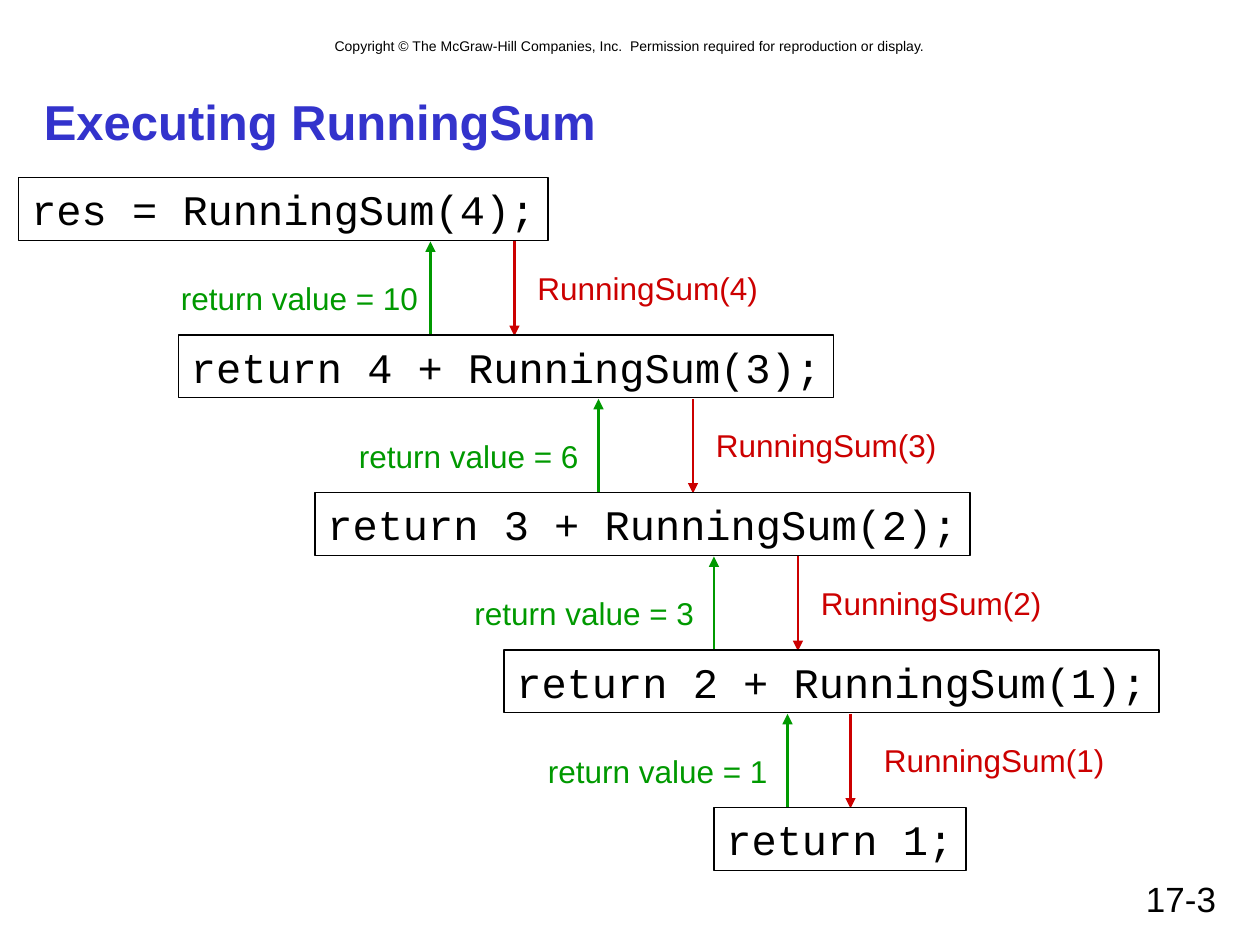
from dataclasses import dataclass

from lxml import etree
from pptx import Presentation
from pptx.dml.color import RGBColor
from pptx.enum.shapes import MSO_CONNECTOR, MSO_SHAPE
from pptx.enum.text import MSO_ANCHOR, PP_ALIGN
from pptx.oxml.ns import qn
from pptx.util import Pt

LEFT, CENTER, RIGHT = PP_ALIGN.LEFT, PP_ALIGN.CENTER, PP_ALIGN.RIGHT
TOP, MIDDLE = MSO_ANCHOR.TOP, MSO_ANCHOR.MIDDLE
RECTANGLE, STRAIGHT = MSO_SHAPE.RECTANGLE, MSO_CONNECTOR.STRAIGHT

EMU_PER_PX = 7620  # 120 px to the inch
SLIDE_W, SLIDE_H = 1200, 900


@dataclass(frozen=True)
class Theme:
    ink: RGBColor = RGBColor(0x00, 0x00, 0x00)
    paper: RGBColor = RGBColor(0xFF, 0xFF, 0xFF)
    heading: RGBColor = RGBColor(0x33, 0x33, 0xCC)
    call: RGBColor = RGBColor(0xCC, 0x00, 0x00)
    result: RGBColor = RGBColor(0x00, 0x99, 0x00)
    sans: str = "Arial"
    mono: str = "Courier New"
    title_size: int = 28
    code_size: int = 24
    number_size: int = 20
    label_size: int = 18
    notice_size: int = 8
    arrow_width: float = 1.5
    frame_width: float = 0.75


THEME = Theme()

NOTICE = {"name": THEME.sans, "size": Pt(THEME.notice_size)}
NUMBER = {"name": THEME.sans, "size": Pt(THEME.number_size)}
TITLE = {"name": THEME.sans, "size": Pt(THEME.title_size), "bold": True}
LABEL = {"name": THEME.sans, "size": Pt(THEME.label_size)}
CODE = {"name": THEME.mono, "size": Pt(THEME.code_size)}

STEP = 150  # from one stack frame down to the next
FRAME_H, LABEL_H = 60, 48

# code, left, width of each stack frame
FRAMES = [
    ("res = RunningSum(4);", 18, 504),
    ("return 4 + RunningSum(3);", 170, 624),
    ("return 3 + RunningSum(2);", 300, 624),
    ("return 2 + RunningSum(1);", 480, 624),
    ("return 1;", 680, 240),
]
# call, its arrow x, its label left; result, its arrow x, its label left, width
EXCHANGES = [
    ("RunningSum(4)", 490, 500, "return value = 10", 410, 160, 250),
    ("RunningSum(3)", 660, 670, "return value = 6", 570, 330, 233),
    ("RunningSum(2)", 760, 770, "return value = 3", 680, 440, 233),
    ("RunningSum(1)", 810, 830, "return value = 1", 750, 510, 233),
]


def px(*lengths):
    return [length * EMU_PER_PX for length in lengths]


def write(shape, text, style, color, align=LEFT, anchor=TOP, wrap=True):
    frame = shape.text_frame
    frame.word_wrap = wrap
    frame.vertical_anchor = anchor
    paragraph = frame.paragraphs[0]
    paragraph.alignment = align
    run = paragraph.add_run()
    run.text = text
    for attribute, value in style.items():
        setattr(run.font, attribute, value)
    run.font.color.rgb = color


def add_text(slide, box, text, style, color, **layout):
    write(slide.shapes.add_textbox(*px(*box)), text, style, color, **layout)


def add_arrow(slide, x, start, end, color):
    arrow = slide.shapes.add_connector(STRAIGHT, *px(x, start, x, end))
    arrow.line.color.rgb = color
    arrow.line.width = Pt(THEME.arrow_width)
    etree.SubElement(arrow.line._get_or_add_ln(), qn("a:tailEnd"), type="triangle")
    etree.SubElement(arrow._element.spPr, qn("a:effectLst"))


def add_header(slide, box):
    left, top, width, _ = box
    add_text(slide, (left + 80, top, width - 160, 29),
             "Copyright © The McGraw-Hill Companies, Inc.  "
             "Permission required for reproduction or display.",
             NOTICE, THEME.ink, align=CENTER)
    add_text(slide, (left + 30, top + 50, width - 60, 70),
             "Executing RunningSum", TITLE, THEME.heading, anchor=MIDDLE)


def add_exchange(slide, top, exchange):
    """Place the call going down and the result coming back up."""
    call, call_x, call_left, result, result_x, result_left, result_w = exchange
    bottom = top + STEP - FRAME_H
    add_arrow(slide, call_x, top, bottom, THEME.call)
    add_text(slide, (call_left, top + 20, 234, LABEL_H), call, LABEL,
             THEME.call, wrap=False)
    add_arrow(slide, result_x, bottom, top, THEME.result)
    add_text(slide, (result_left, top + 30, result_w, LABEL_H), result, LABEL,
             THEME.result, align=RIGHT, wrap=False)


def add_stack_frame(slide, box, code):
    rect = slide.shapes.add_shape(RECTANGLE, *px(*box))
    rect.shadow.inherit = False
    rect.fill.solid()
    rect.fill.fore_color.rgb = THEME.paper
    rect.line.color.rgb = THEME.ink
    rect.line.width = Pt(THEME.frame_width)
    write(rect, code, CODE, THEME.ink, wrap=False)


def add_call_stack(slide, box):
    left, top = box[:2]
    for level, exchange in enumerate(EXCHANGES):
        add_exchange(slide, top + level * STEP + FRAME_H + 1, exchange)
    for level, (code, offset, width) in enumerate(FRAMES):
        add_stack_frame(slide, (left + offset, top + level * STEP, width, FRAME_H),
                        code)


def main():
    deck = Presentation()
    deck.slide_width, deck.slide_height = px(SLIDE_W, SLIDE_H)
    slide = deck.slides.add_slide(deck.slide_layouts[6])
    add_header(slide, (0, 30, SLIDE_W, 120))
    add_call_stack(slide, (0, 169, SLIDE_W, 660))
    add_text(slide, (860, 830, 310, 50), "17-3", NUMBER, THEME.ink, align=RIGHT)
    deck.save("out.pptx")


if __name__ == "__main__":
    main()
